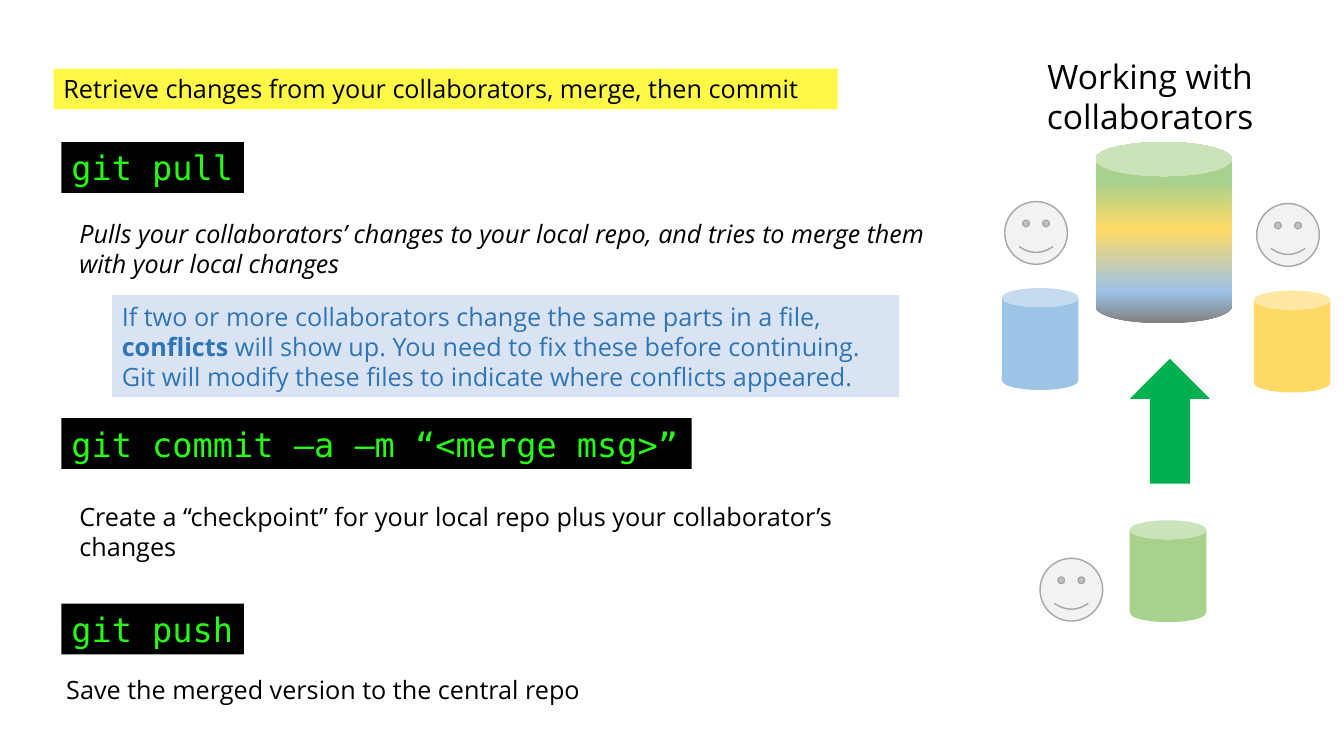
"""Build the slide about merging and sharing changes with Git collaborators."""
from copy import deepcopy

from pptx import Presentation
from pptx.dml.color import RGBColor
from pptx.enum.shapes import MSO_SHAPE
from pptx.enum.text import MSO_ANCHOR, MSO_AUTO_SIZE, PP_ALIGN
from pptx.util import Cm, Pt

CAN, SMILEY, ARROW, RECTANGLE = (MSO_SHAPE.CAN, MSO_SHAPE.SMILEY_FACE,
                                 MSO_SHAPE.UP_ARROW, MSO_SHAPE.RECTANGLE)
LEFT, CENTER, MIDDLE = PP_ALIGN.LEFT, PP_ALIGN.CENTER, MSO_ANCHOR.MIDDLE
NO_AUTOFIT = MSO_AUTO_SIZE.NONE
BODY_FONT, CODE_FONT = "Open Sans", "DejaVu Sans Mono"
GREEN, BLUE, YELLOW = "A9D18E", "9DC3E6", "FFD966"


def add_box(kind, left, top, width, height, fill=None, line=None):
    """Add a flat preset shape, or a text box when kind is None; lengths in cm."""
    place = Cm(left), Cm(top), Cm(width), Cm(height)
    if kind is None:
        return page.shapes.add_textbox(*place)
    box = page.shapes.add_shape(kind, *place)
    box.shadow.inherit = False
    if fill:
        box.fill.solid()
        box.fill.fore_color.rgb = RGBColor.from_string(fill)
    if line:
        box.line.color.rgb = RGBColor.from_string(line)
        box.line.width = Pt(1)
    else:
        box.line.fill.background()
    return box


def write(box, *lines, size=18, font=BODY_FONT, color="000000", italic=False,
          bold_word=None, align=LEFT, wrap=True):
    """Write one paragraph per line, with bold_word set in bold."""
    frame = box.text_frame
    frame.auto_size, frame.word_wrap, frame.vertical_anchor = NO_AUTOFIT, wrap, MIDDLE
    for index, line in enumerate(lines):
        para = frame.add_paragraph() if index else frame.paragraphs[0]
        para.alignment = align
        before, word, after = line.partition(bold_word) if bold_word else (line, "", "")
        for text in filter(None, (before, word, after)):
            span = para.add_run()
            span.text = text
            span.font.size, span.font.name = Pt(size), font
            span.font.bold, span.font.italic = text == bold_word, italic
            span.font.color.rgb = RGBColor.from_string(color)


deck = Presentation()
deck.slide_width, deck.slide_height = Cm(33.87), Cm(19.05)
page = deck.slides.add_slide(deck.slide_layouts[5])

title = page.shapes.title
title.left, title.top, title.width, title.height = Cm(26.04), Cm(1.27), Cm(5.89), Cm(2.31)
write(title, "Working with", "collaborators", size=24, align=CENTER, wrap=False)

central_repo = add_box(CAN, 27.61, 3.58, 3.43, 4.57)
central_repo.fill.gradient()
central_repo.fill.gradient_angle = 90
stop_list = central_repo.fill.gradient_stops[0]._gs.getparent()
for extra in range(2):
    stop_list.append(deepcopy(stop_list[0]))
blend = [(0, "808080"), (0.18, BLUE), (0.52, YELLOW), (0.78, GREEN)]
for stop, (position, color) in zip(central_repo.fill.gradient_stops, blend):
    stop.position = position
    stop.color.rgb = RGBColor.from_string(color)

add_box(ARROW, 28.47, 9.04, 2.03, 3.15, fill="00B050")

collaborators = [
    (28.47, 13.11, GREEN, 26.21, 14.07),
    (25.25, 7.26, BLUE, 25.32, 5.08),
    (31.6, 7.32, YELLOW, 31.67, 5.13),
]
for repo_left, repo_top, color, face_left, face_top in collaborators:
    add_box(CAN, repo_left, repo_top, 1.93, 2.57, fill=color)
    add_box(SMILEY, face_left, face_top, 1.58, 1.58, fill="F2F2F2", line="A6A6A6")

banner = add_box(RECTANGLE, 1.35, 1.73, 19.76, 1.02, fill="FFF846")
write(banner, "Retrieve changes from your collaborators, merge, then commit")

commands = [
    (3.58, 4.6, "git pull"),
    (10.54, 15.88, "git commit –a –m “<merge msg>”"),
    (15.21, 4.6, "git push"),
]
for top, width, command in commands:
    box = add_box(RECTANGLE, 1.55, top, width, 1.28, fill="000000")
    write(box, command, size=24, font=CODE_FONT, color="28FE14", wrap=False)

explanations = [
    (1.75, 5.36, 21.92, 1.8, True, "Pulls your collaborators’ changes to your local repo, "
     "and tries to merge them with your local changes"),
    (1.75, 12.5, 19.84, 1.8, False, "Create a “checkpoint” for your local repo "
     "plus your collaborator’s changes"),
    (1.42, 16.87, 19.84, 1.02, False, "Save the merged version to the central repo"),
]
for left, top, width, height, italic, text in explanations:
    write(add_box(None, left, top, width, height), text, italic=italic)

conflict_note = add_box(RECTANGLE, 2.82, 7.44, 19.84, 2.57, fill="DAE3F3")
write(conflict_note, "If two or more collaborators change the same parts in a file, "
      "conflicts will show up. You need to fix these before continuing. "
      "Git will modify these files to indicate where conflicts appeared.",
      color="2E75B6", bold_word="conflicts")

deck.save("out.pptx")
